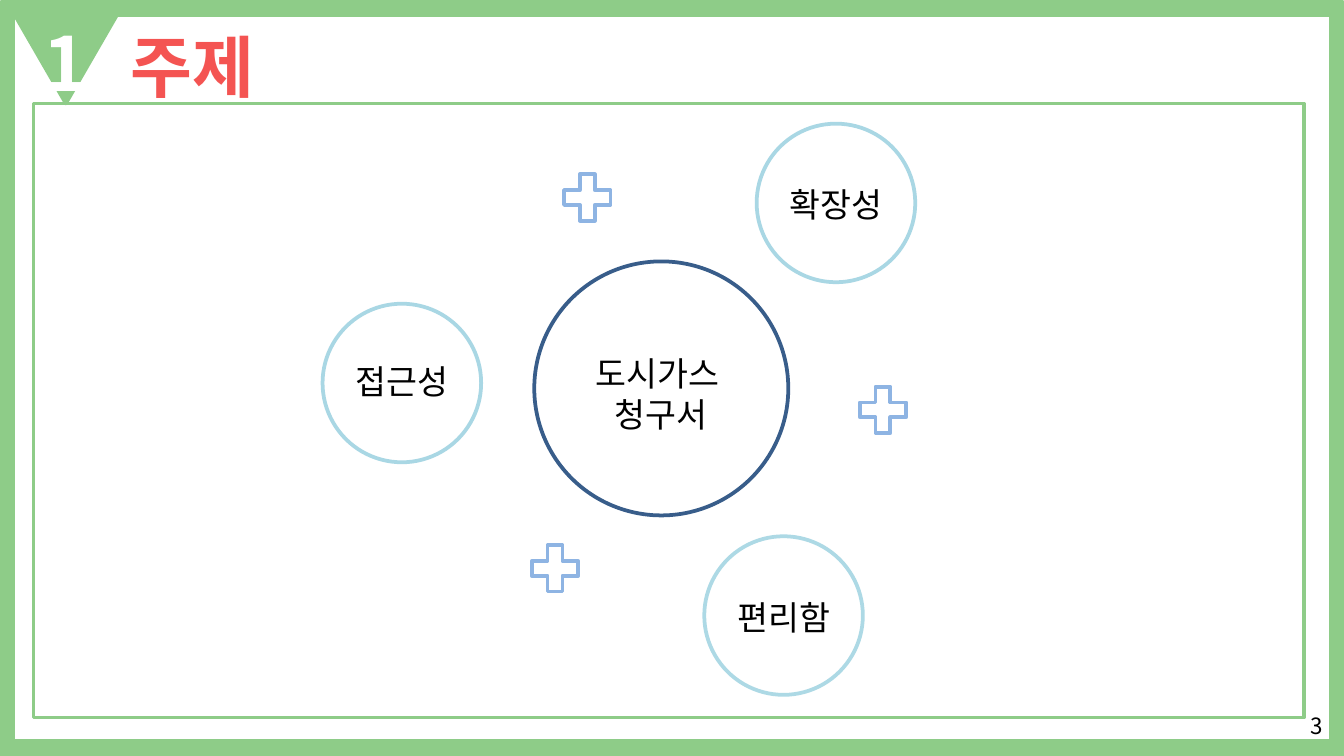
from pptx import Presentation
from pptx.dml.color import RGBColor
from pptx.enum.shapes import MSO_SHAPE as Shape
from pptx.enum.text import MSO_ANCHOR as Anchor, MSO_AUTO_SIZE as AutoSize, PP_ALIGN as Align
from pptx.oxml.ns import qn
from pptx.util import Inches, Pt
from lxml.etree import SubElement

# Content
TITLE, SECTION, PAGE = "주제", "1", "3"
CENTRE_TEXT = "도시가스 \n청구서"
CENTRE = (4.92, 2.89)
# text, circle centre, line colour, label offset from the centre
TRAITS = [
    ("확장성", (6.22, 1.51), "sky", 0.01),
    ("접근성", (2.99, 2.85), "sky", -0.01),
    ("편리함", (5.83, 4.58), "pale", 0.01),
]
PLUSES = [(4.37, 1.47), (4.13, 4.23), (6.57, 3.05)]

# Theme
THEME = {
    "font": "Noto Sans CJK KR",
    "green": "8ECC88", "red": "F45452", "white": "FFFFFF", "black": "000000",
    "sky": "A9D7E4", "pale": "ADD9E5", "navy": "385D8A", "blue": "8EB4E3",
    "number": 40, "title": 36, "body": 18, "page": 12,
    "line": 2, "frame": 10,
}
W = 10
H = W * 9 / 16
CIRCLE, CENTRE_CIRCLE, PLUS, LABEL_H = 1.18, 1.89, 0.47, 0.4


def rgb(name):
    return RGBColor.from_string(THEME[name])


def around(centre, w, h):
    return centre[0] - w / 2, centre[1] - h / 2, w, h


def add_outline(shapes, kind, box, color, width="line", fill=None):
    sp = shapes.add_shape(kind, *map(Inches, box))
    sp.shadow.inherit = False
    sp.line.color.rgb = rgb(color)
    sp.line.width = Pt(THEME[width])
    SubElement(sp._element.spPr.find(qn("a:ln")), qn("a:round"))
    if fill:
        sp.fill.solid()
        sp.fill.fore_color.rgb = rgb(fill)
    else:
        sp.fill.background()
    return sp


def write(sp, text, size, color="black", bold=False, align=Align.CENTER, wrap=True):
    tf = sp.text_frame
    tf.text = text
    tf.auto_size, tf.word_wrap = AutoSize.NONE, wrap
    tf.vertical_anchor = Anchor.TOP
    for p in tf.paragraphs:
        p.alignment = align
        for r in p.runs:
            r.font.size, r.font.bold = Pt(THEME[size]), bold
            r.font.color.rgb = rgb(color)
            r.font.name = THEME["font"]
            SubElement(r.font._element, qn("a:ea"), typeface=THEME["font"])
    return tf


def add_text(shapes, box, text, size, **style):
    return write(shapes.add_textbox(*map(Inches, box)), text, size, **style)


prs = Presentation()
prs.slide_width, prs.slide_height = Inches(W), Inches(H)
s = prs.slides.add_slide(prs.slide_layouts[5])

# Frame, content panel and section marker
add_outline(s.shapes, Shape.RECTANGLE, (0.04, 0.06, W - 0.08, 5.51), "green", "frame")
panel = add_outline(s.shapes, Shape.RECTANGLE, (0.25, 0.77, 9.45, 4.57), "green", fill="white")
SubElement(panel._element.spPr.find(qn("a:solidFill"))[0], qn("a:alpha"), val="50000")
marker = add_outline(s.shapes, Shape.ISOSCELES_TRIANGLE, (0.08, 0.06, 0.82, 0.71),
                     "green", fill="green")
marker._element.spPr.find(qn("a:xfrm")).set("flipV", "1")

# Section number and title
tf = add_text(s.shapes, (0.23, 0.08, 0.51, 0.77), SECTION, "number",
              color="white", bold=True, wrap=False)
tf.paragraphs[0].runs[0].font._element.set("spc", "-150")
title = s.shapes.title
title.left, title.top, title.width, title.height = map(Inches, (0.87, 0.14, 1.12, 0.71))
write(title, TITLE, "title", color="red", bold=True, wrap=False)

# Central topic
add_outline(s.shapes, Shape.OVAL, around(CENTRE, CENTRE_CIRCLE, CENTRE_CIRCLE), "navy")
add_text(s.shapes, (4.21, 2.58, 1.42, 0.71), CENTRE_TEXT, "body")

# Traits: a circle grouped with its label
for text, (x, y), color, shift in TRAITS:
    group = s.shapes.add_group_shape()
    add_outline(group.shapes, Shape.OVAL, around((x, y), CIRCLE, CIRCLE), color)
    add_text(group.shapes, around((x, y + shift), CIRCLE, LABEL_H), text, "body")

# Plus signs
for centre in PLUSES:
    add_outline(s.shapes, Shape.MATH_PLUS, around(centre, PLUS, PLUS), "blue")

# Page number
add_text(s.shapes, (9.65, 5.25, 0.71, 0.3), PAGE, "page", align=Align.LEFT)

prs.save("out.pptx")
